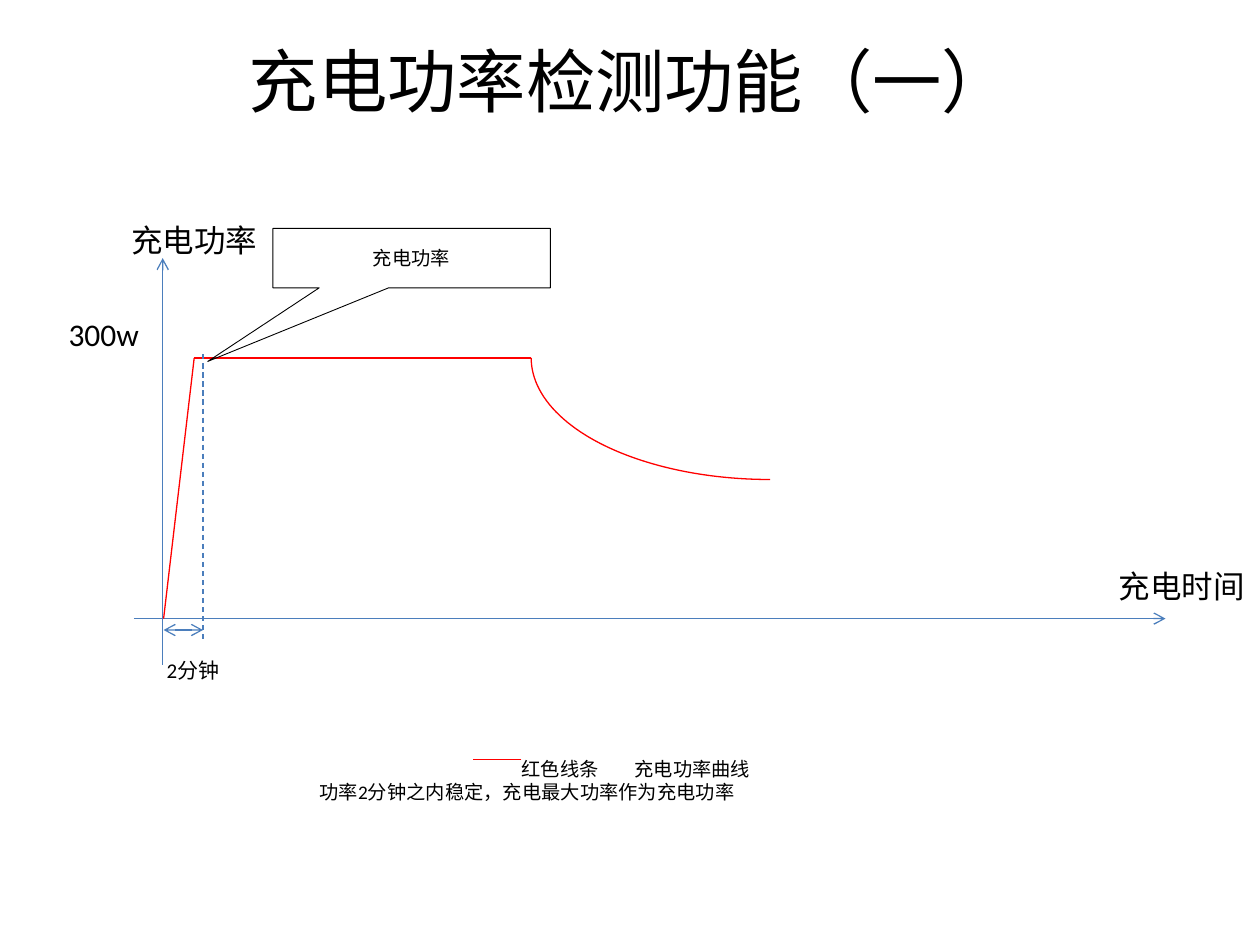
from lxml.etree import SubElement
from pptx import Presentation
from pptx.dml.color import RGBColor
from pptx.enum.dml import MSO_LINE
from pptx.enum.shapes import MSO_CONNECTOR, MSO_SHAPE
from pptx.enum.text import MSO_ANCHOR as ANCHOR, PP_ALIGN as ALIGN
from pptx.oxml.ns import qn
from pptx.util import Pt

BLACK, RED, BLUE = "000000", "FF0000", "4B7EBC"


def rgb(value):
    return RGBColor.from_string(value)


class Deck:
    """Holds the text style and the current slide, and draws its elements."""

    def __init__(self, prs, font="Calibri"):
        self.font = font
        self.s = prs.slides.add_slide(prs.slide_layouts[5])

    def place(self, sp, box):
        sp.left, sp.top, sp.width, sp.height = (Pt(v) for v in box)

    def add_text(self, p, text, size, align=ALIGN.CENTER):
        p.alignment = align
        r = p.add_run()
        r.text = text
        r.font.name, r.font.size = self.font, Pt(size)
        r.font.color.rgb = rgb(BLACK)

    def title(self, text, box, size):
        sp = self.s.shapes.title
        self.place(sp, box)
        tf = sp.text_frame
        tf.vertical_anchor, tf.margin_top = ANCHOR.TOP, 0
        self.add_text(tf.paragraphs[0], text, size)

    def text_box(self, box):
        tf = self.s.shapes.add_textbox(*(Pt(v) for v in box)).text_frame
        tf.word_wrap, tf.vertical_anchor = True, ANCHOR.MIDDLE
        return tf

    def label(self, text, box, size=18):
        self.add_text(self.text_box(box).paragraphs[0], text, size)

    def legend(self, name, meaning, note, box, indent, tab, size=11):
        tf = self.text_box(box)
        p = tf.paragraphs[0]
        pPr = p._p.get_or_add_pPr()
        pPr.set("marL", "0")
        pPr.set("indent", str(Pt(indent)))
        tabs = SubElement(pPr, qn("a:tabLst"))
        SubElement(tabs, qn("a:tab"), pos=str(Pt(tab)), algn="l")
        self.add_text(p, f"{name}\t{meaning}", size, ALIGN.LEFT)
        self.add_text(tf.add_paragraph(), note, size, ALIGN.LEFT)

    def shape(self, kind, box, color, width=0.75):
        sp = self.s.shapes.add_shape(kind, *(Pt(v) for v in box))
        sp.shadow.inherit = False
        sp.fill.background()
        sp.line.color.rgb, sp.line.width = rgb(color), Pt(width)
        return sp

    def callout(self, text, box, tip, size=11):
        sp = self.shape(MSO_SHAPE.RECTANGULAR_CALLOUT, box, BLACK, 0.5)
        sp.adjustments[0], sp.adjustments[1] = tip
        sp.text_frame.vertical_anchor = ANCHOR.MIDDLE
        self.add_text(sp.text_frame.paragraphs[0], text, size)

    def line(self, start, end, color, arrows=(), dashed=False):
        cx = self.s.shapes.add_connector(
            MSO_CONNECTOR.STRAIGHT, *(Pt(v) for v in (*start, *end)))
        cx.line.color.rgb, cx.line.width = rgb(color), Pt(0.75)
        if dashed:
            cx.line.dash_style = MSO_LINE.DASH
        for tag in arrows:
            SubElement(cx.line._get_or_add_ln(), qn(f"a:{tag}"), type="arrow")
        SubElement(cx._element.spPr, qn("a:effectLst"))


def main():
    prs = Presentation()
    prs.slide_width, prs.slide_height = Pt(720), Pt(540)
    d = Deck(prs)
    d.title("充电功率检测功能（一）", (36, 21.6, 648, 90), 39.6)

    origin_x, axis_y, peak_y = 93, 353.5, 204.5
    rise_x, limit_x, fall_x, span_y = 111, 116, 303.5, 360
    d.line((origin_x, 380), (origin_x, 147.5), BLUE, ["tailEnd"])
    d.line((76.5, axis_y), (666, axis_y), BLUE, ["tailEnd"])
    d.label("充电功率", (60, 111.5, 102, 51))
    d.label("充电时间", (630.7, 309, 89.3, 51))

    d.line((rise_x, peak_y), (fall_x, peak_y), RED)
    arc = d.shape(MSO_SHAPE.ARC, (fall_x, peak_y - 69.5, 273, 139), RED)
    arc.rotation = 180
    d.label("300w", (25.5, 165.5, 67.5, 51))
    d.callout("充电功率", (156, 130.5, 158.5, 34), (-0.735, 1.737))

    d.legend("红色线条", "充电功率曲线", "功率2分钟之内稳定，充电最大功率作为充电功率",
             (175.5, 412, 399.5, 67.5), indent=115.5, tab=164.5)
    d.line((298, 434), (270, 434), RED)
    d.line((origin_x + 0.5, axis_y), (rise_x, peak_y), RED)
    d.line((limit_x, 202.5), (limit_x, 366.5), BLUE, dashed=True)
    d.line((limit_x, span_y), (origin_x + 0.5, span_y), BLUE,
           ["headEnd", "tailEnd"])
    d.label("2分钟", (76.5, 366.5, 67.5, 33), 12)
    prs.save("out.pptx")


if __name__ == "__main__":
    main()
